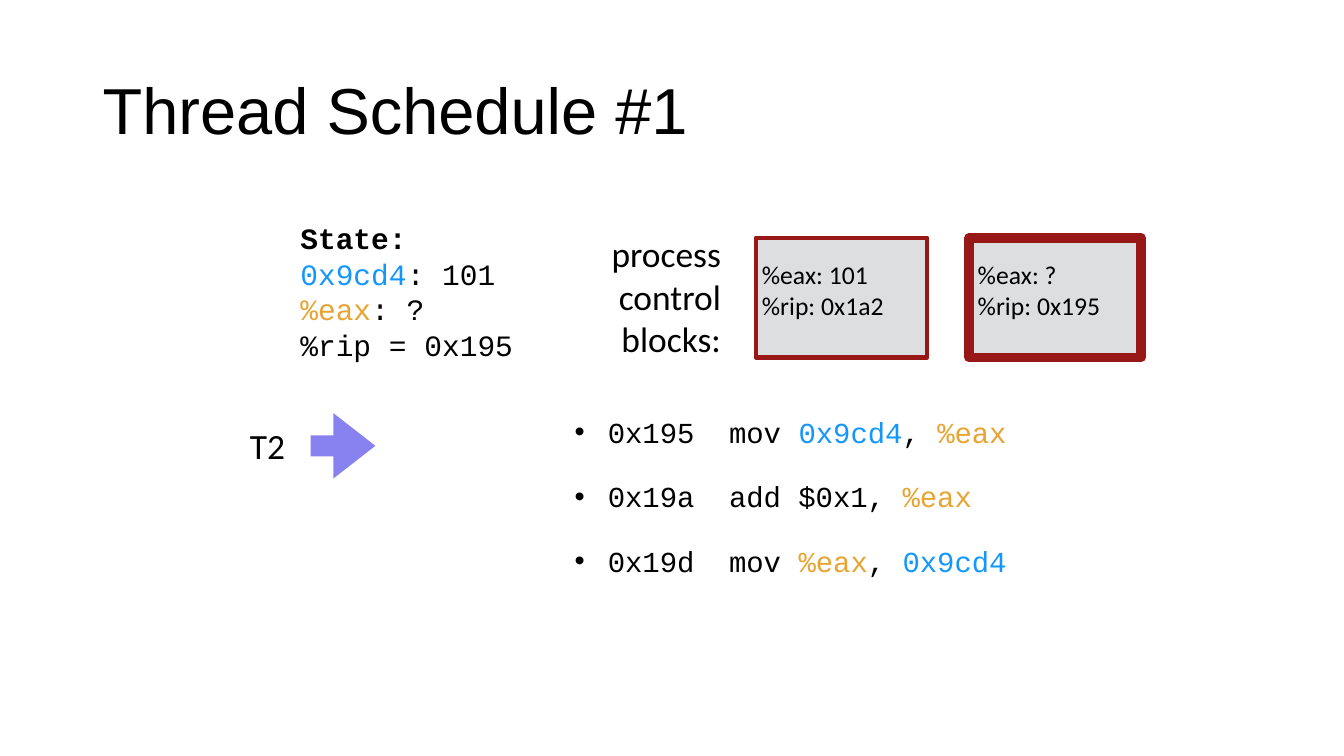
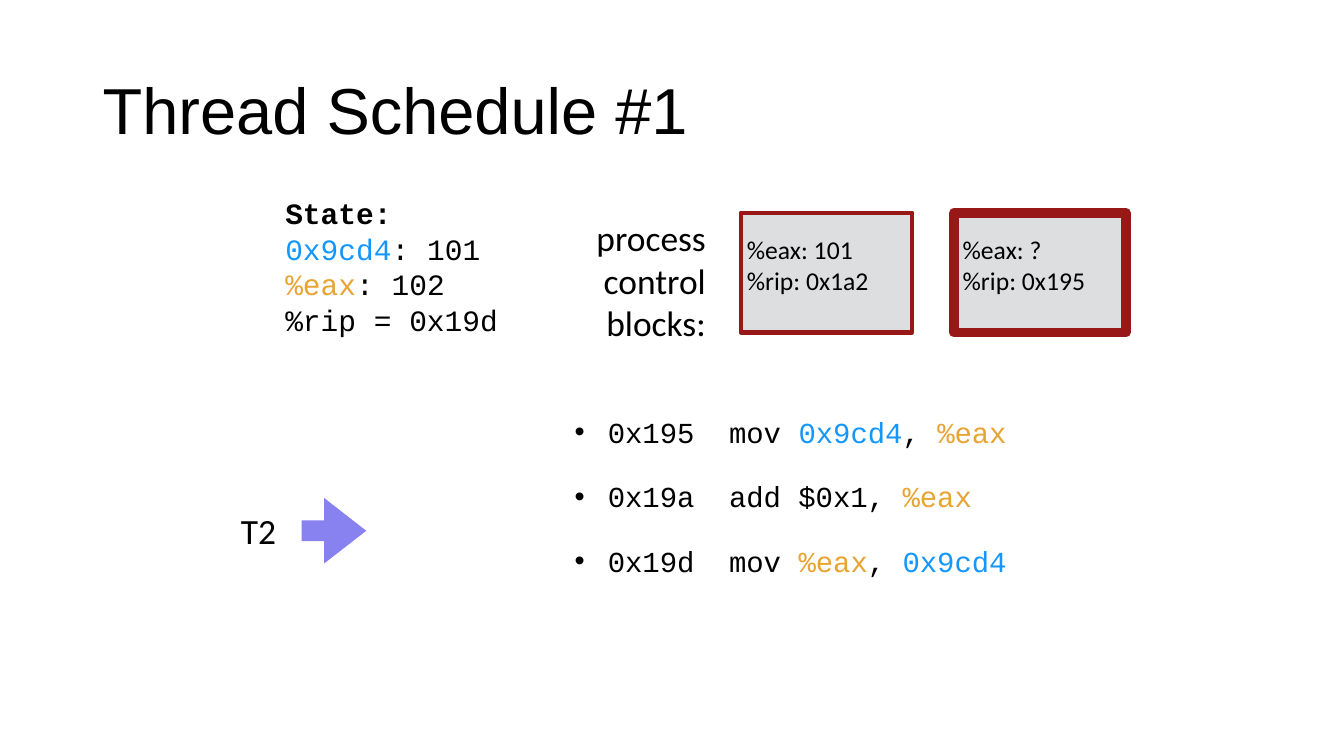
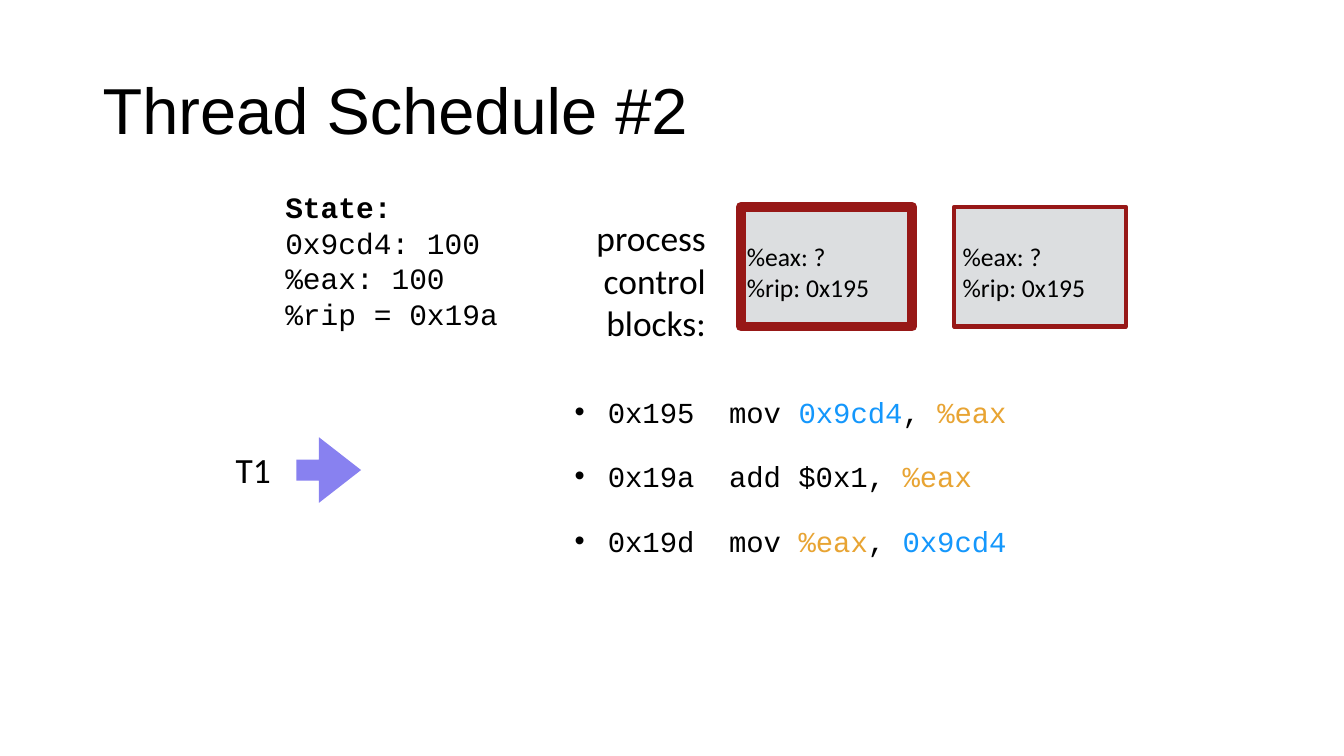
"""Builds three slides that step through a thread schedule."""
import pptx
import pptx.dml.color
import pptx.enum.shapes
import pptx.enum.text
import pptx.oxml.ns
import pptx.util
from lxml import etree

Cm, Pt = pptx.util.Cm, pptx.util.Pt
RGBColor = pptx.dml.color.RGBColor
Align = pptx.enum.text.PP_ALIGN
Anchor = pptx.enum.text.MSO_ANCHOR
Shape = pptx.enum.shapes.MSO_SHAPE

BLACK = RGBColor(0x00, 0x00, 0x00)
BLUE = RGBColor(0x14, 0x97, 0xFC)
ORANGE = RGBColor(0xE8, 0xA4, 0x33)
RED = RGBColor(0x97, 0x18, 0x17)
GREY = RGBColor(0xDC, 0xDE, 0xE0)
VIOLET = RGBColor(0x88, 0x81, 0xF0)
HUES = {"0x9cd4": BLUE, "%eax": ORANGE}

SANS, BODY, MONO = "Arial", "Calibri", "Courier New"
PAD = (0.1, 0.1, 0.1, 0.1)

CODE = [
    "0x195  mov |0x9cd4|, |%eax",
    "0x19a  add $0x1, |%eax",
    "0x19d  mov |%eax|, |0x9cd4",
]
LABEL = ["process", "control", "blocks:"]
SAVED = ["%eax: 101", "%rip: 0x1a2"]
FRESH = ["%eax: ?", "%rip: 0x195"]

SLIDES = [
    dict(title="Thread Schedule #1",
         state=["State:", "|0x9cd4|: 101", "|%eax|: ?", "%rip = 0x195"],
         blocks=[SAVED, FRESH], active=1, origin=(19.05, 5.99), drop=0.53,
         label=5.74, code=10.34, thread="T2", mark=(6.2, 10.59)),
    dict(title="Thread Schedule #1",
         state=["State:", "|0x9cd4|: 101", "|%eax|: 102", "%rip = 0x19d"],
         blocks=[SAVED, FRESH], active=1, origin=(18.67, 5.36), drop=0.53,
         label=5.33, code=10.34, thread="T2", mark=(5.97, 12.73)),
    dict(title="Thread Schedule #2",
         state=["State:", "0x9cd4: 100", "%eax: 100", "%rip = 0x19a"],
         blocks=[FRESH, FRESH], active=0, origin=(18.67, 5.21), drop=0.86,
         label=5.33, code=9.83, thread="T1", mark=(5.84, 11.2)),
]


def write(shape, lines, face, size, pad=PAD, anchor=Anchor.MIDDLE,
          align=Align.LEFT, wrap=False):
    frame = shape.text_frame
    frame.word_wrap = wrap
    frame.vertical_anchor = anchor
    (frame.margin_left, frame.margin_top,
     frame.margin_right, frame.margin_bottom) = map(Cm, pad)
    for i, line in enumerate(lines):
        para = frame.add_paragraph() if i else frame.paragraphs[0]
        para.alignment = align
        para.font.name, para.font.size = face, Pt(size)
        para.font.color.rgb = BLACK
        parts = line.split("|")
        for part in filter(None, parts):
            run = para.add_run()
            run.text = part
            if len(parts) > 1 and part in HUES:
                run.font.color.rgb = HUES[part]
    return frame.paragraphs


def add_text(slide, box, lines, face, size, **style):
    return write(slide.shapes.add_textbox(*map(Cm, box)), lines, face, size, **style)


def add_form(slide, kind, box, fill):
    shape = slide.shapes.add_shape(kind, *map(Cm, box))
    shape.shadow.inherit = False
    shape.fill.solid()
    shape.fill.fore_color.rgb = fill
    shape.line.fill.background()
    return shape


def add_dot(para):
    props = para._p.get_or_add_pPr()
    props.set("marL", str(Cm(0.84)))
    props.set("indent", str(-Cm(0.84)))
    dot = etree.Element(pptx.oxml.ns.qn("a:buChar"), char="•")
    font = etree.Element(pptx.oxml.ns.qn("a:buFont"), typeface=SANS)
    props.find(pptx.oxml.ns.qn("a:defRPr")).addprevious(font)
    font.addnext(dot)


def add_blocks(slide, data):
    left, top = data["origin"]
    for i, lines in enumerate(data["blocks"]):
        block = add_form(slide, Shape.RECTANGLE, (left + i * 5.38, top, 4.32, 3.02), GREY)
        block.line.color.rgb = RED
        block.line.width = Pt(7 if i == data["active"] else 3)
        write(block, lines, BODY, 18.3, pad=(0.15 + i * 0.06, data["drop"], 0, 0),
              anchor=Anchor.TOP)


def add_code(slide, top):
    paras = add_text(slide, (14.3, top, 15.34, 3.84), CODE, MONO, 20.7,
                     pad=(0.18, 0.1, 0.18, 0.1), anchor=Anchor.TOP, wrap=True)
    for i, para in enumerate(paras):
        if i:
            para.space_before = Pt(21.3)
        add_dot(para)


def add_mark(slide, name, left, top):
    add_text(slide, (left, top, 1.09, 1.27), [name], BODY, 25.3)
    arrow = add_form(slide, Shape.RIGHT_ARROW, (left + 1.63, top - 0.18, 1.63, 1.65), VIOLET)
    arrow.adjustments[0], arrow.adjustments[1] = 0.32, 0.65


def build(slide, data):
    left, top = data["origin"]
    title = add_text(slide, (2.34, 1.02, 29.21, 3.68), [data["title"]], SANS, 46.4,
                     pad=(0.25, 0.13, 0.25, 0.13), wrap=True)
    title[0].line_spacing = 0.9
    add_blocks(slide, data)
    state = add_text(slide, (left - 11.58, top - 0.56, 5.64, 3.81),
                     data["state"], MONO, 21.1)
    state[0].font.bold = True
    add_text(slide, (left - 3.78, data["label"], 3, 3.45), LABEL, BODY, 25.3,
             align=Align.RIGHT)
    add_code(slide, data["code"])
    add_mark(slide, data["thread"], *data["mark"])


def main():
    deck = pptx.Presentation()
    deck.slide_width, deck.slide_height = Cm(33.87), Cm(19.05)
    for data in SLIDES:
        build(deck.slides.add_slide(deck.slide_layouts[6]), data)
    deck.save("out.pptx")


if __name__ == "__main__":
    main()
